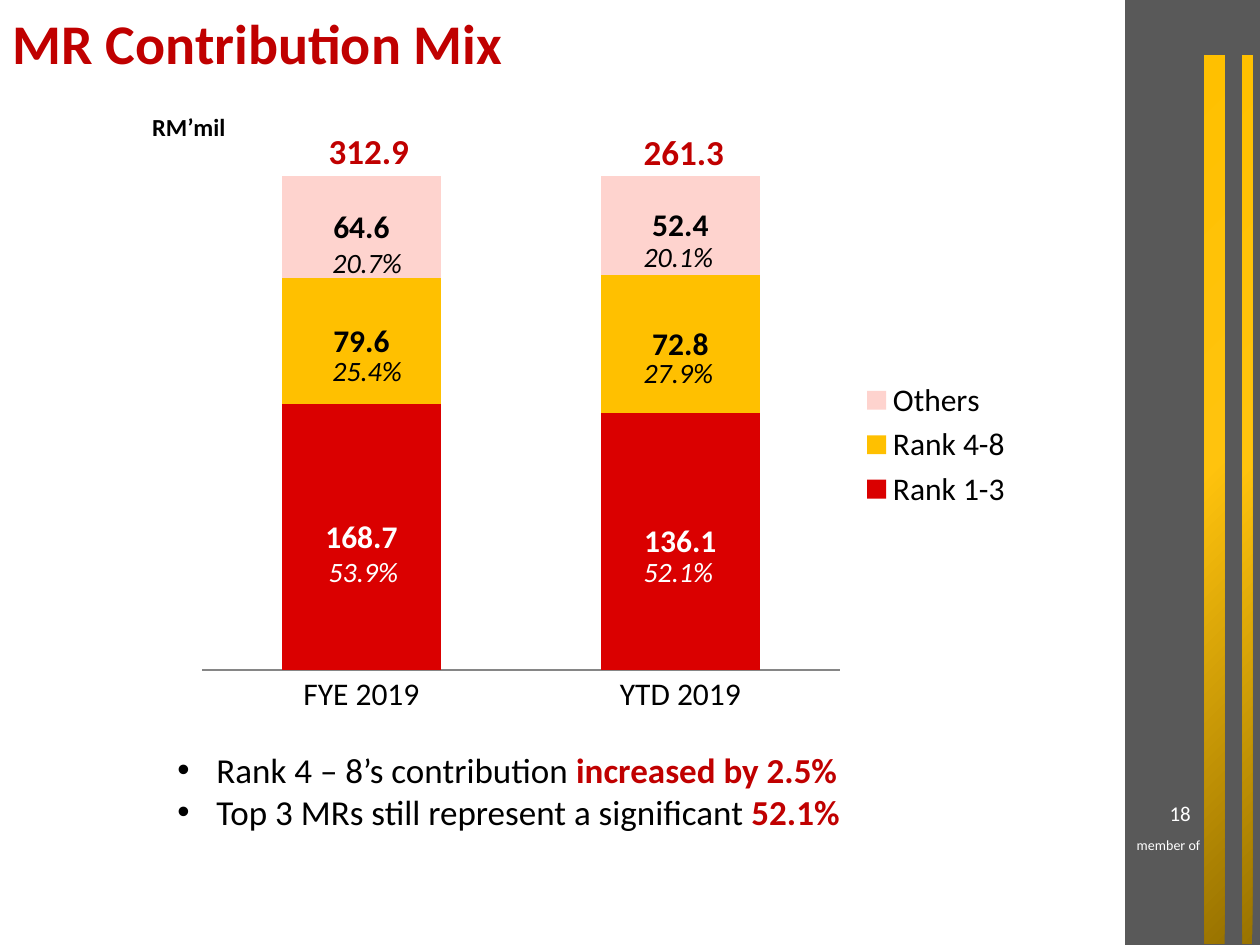
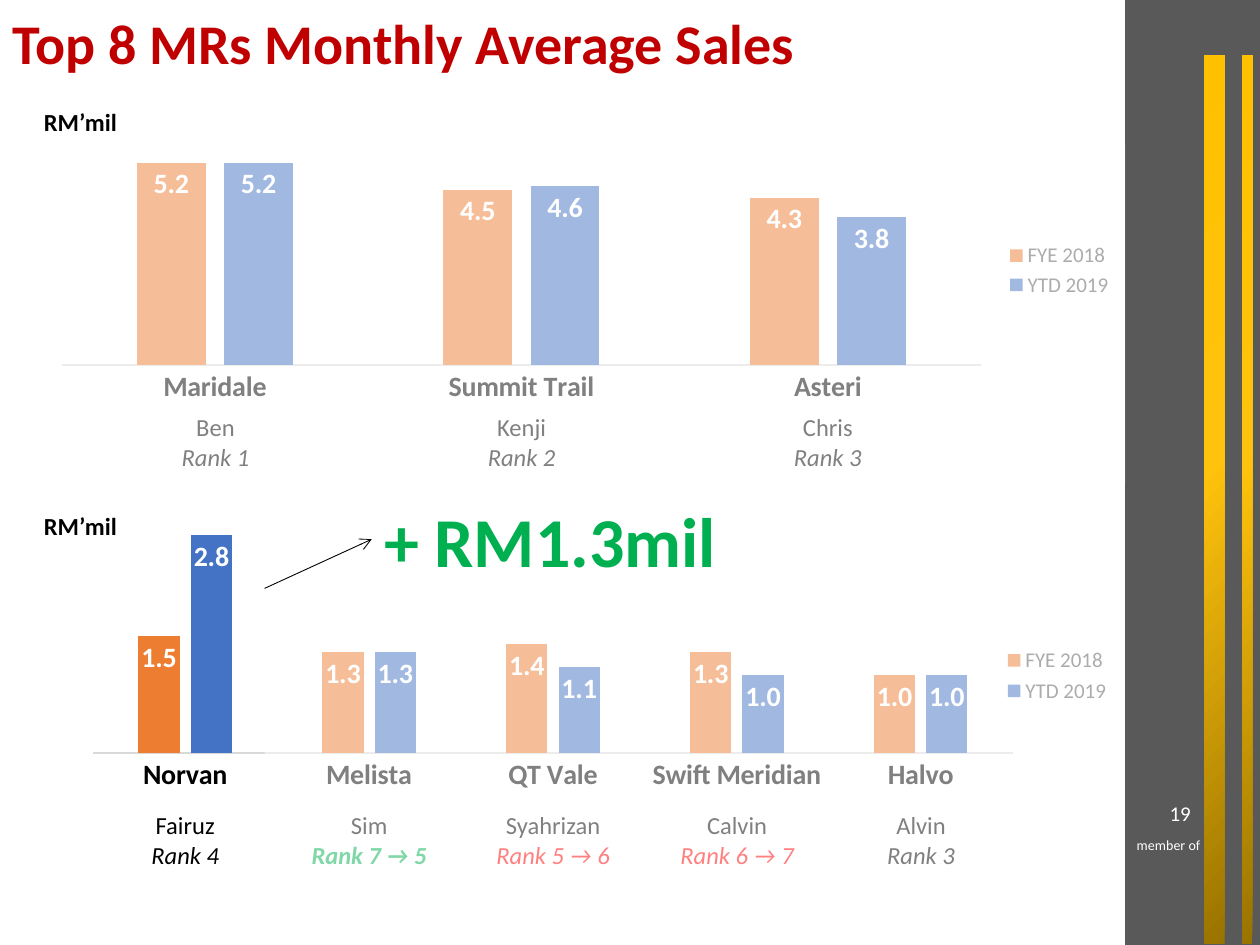
from dataclasses import dataclass

from lxml.etree import SubElement
from pptx import Presentation
from pptx.chart.data import CategoryChartData
from pptx.dml.color import RGBColor
from pptx.enum.chart import XL_CHART_TYPE, XL_LABEL_POSITION, XL_LEGEND_POSITION, XL_TICK_LABEL_POSITION, XL_TICK_MARK
from pptx.enum.shapes import MSO_CONNECTOR, MSO_SHAPE
from pptx.enum.text import MSO_ANCHOR, MSO_AUTO_SIZE, PP_ALIGN
from pptx.oxml import parse_xml
from pptx.oxml.ns import nsdecls, qn
from pptx.util import Pt

EMU_PER_PX = 9144


@dataclass(frozen=True)
class Theme:
    font: str = "Calibri"
    white: str = "FFFFFF"
    black: str = "000000"
    band: str = "595959"
    heading: str = "C00000"
    rank_top: str = "DA0000"
    rank_middle: str = "FFC000"
    rank_others: str = "FED3CE"
    last_year: str = "ED7D31"
    this_year: str = "4472C4"
    axis: str = "D9D9D9"
    axis_dark: str = "868686"
    rise: str = "00B050"
    fall: str = "FF0000"
    stripe: tuple = ((0, "FFC000"), (46, "FFC30D"), (100, "997300"))
    title_size: int = 32
    callout_size: int = 40
    body_size: int = 20
    chart_size: int = 18
    label_size: int = 16
    caption_size: int = 14
    small_size: int = 12
    footer_size: int = 8


THEME = Theme()


def px(*lengths):
    return [length * EMU_PER_PX for length in lengths]


def apply(target, formats):
    for name, value in formats.items():
        setattr(target, name, value)


def style(font, size, color, **formats):
    apply(font, {"name": THEME.font, "size": Pt(size), **formats})
    font.color.rgb = RGBColor.from_string(color)


def add_text(slide, box, text, size, color, align=PP_ALIGN.LEFT,
             anchor=MSO_ANCHOR.TOP, wrap=False, **formats):
    frame = slide.shapes.add_textbox(*px(*box)).text_frame
    apply(frame, {"word_wrap": wrap, "auto_size": MSO_AUTO_SIZE.NONE,
                  "vertical_anchor": anchor})
    paragraph = frame.paragraphs[0]
    paragraph.alignment = align
    run = paragraph.add_run()
    run.text = text
    style(run.font, size, color, **formats)


def add_bullets(slide, box, points):
    frame = slide.shapes.add_textbox(*px(*box)).text_frame
    apply(frame, {"word_wrap": True, "auto_size": MSO_AUTO_SIZE.NONE})
    for index, (statement, emphasis) in enumerate(points):
        paragraph = frame.add_paragraph() if index else frame.paragraphs[0]
        properties = paragraph._p.get_or_add_pPr()
        indent = px(31)[0]
        properties.set("marL", str(indent))
        properties.set("indent", str(-indent))
        SubElement(properties, qn("a:buFont"), typeface="Arial")
        SubElement(properties, qn("a:buChar"), char="•")
        for text, color, bold in ((statement, THEME.black, False),
                                  (emphasis, THEME.heading, True)):
            run = paragraph.add_run()
            run.text = text
            style(run.font, THEME.body_size, color, bold=bold)


def add_block(slide, box):
    block = slide.shapes.add_shape(MSO_SHAPE.RECTANGLE, *px(*box))
    block.shadow.inherit = False
    block.line.fill.background()
    return block


def add_solid(slide, box, color, opacity=100):
    block = add_block(slide, box)
    block.fill.solid()
    block.fill.fore_color.rgb = RGBColor.from_string(color)
    if opacity < 100:
        tint = block._element.spPr.find(".//" + qn("a:srgbClr"))
        SubElement(tint, qn("a:alpha"), val=str(opacity * 1000))


def add_stripe(slide, box):
    stops = "".join(
        f'<a:gs pos="{place * 1000}"><a:srgbClr val="{color}"/></a:gs>'
        for place, color in THEME.stripe)
    gradient = parse_xml(
        f'<a:gradFill {nsdecls("a")} rotWithShape="1"><a:gsLst>{stops}</a:gsLst>'
        '<a:path path="circle"><a:fillToRect r="100000" b="100000"/></a:path>'
        '</a:gradFill>')
    outline = add_block(slide, box)._element.spPr.find(qn("a:prstGeom"))
    outline.addnext(gradient)


def add_arrow(slide, start, end):
    arrow = slide.shapes.add_connector(MSO_CONNECTOR.STRAIGHT, *px(*start, *end))
    arrow.line.width = Pt(0.5)
    arrow.line.color.rgb = RGBColor.from_string(THEME.black)
    SubElement(arrow.line._get_or_add_ln(), qn("a:tailEnd"), type="arrow")
    SubElement(arrow._element.spPr, qn("a:effectLst"))


def place_part(part, index, thousandths, target=""):
    for old in part.findall(qn("c:layout")):
        part.remove(old)
    sizes = "".join(f'<c:{name} val="{value / 1000}"/>'
                    for name, value in zip("xywh", thousandths))
    part.insert(index, parse_xml(
        f'<c:layout {nsdecls("c")}><c:manualLayout>{target}'
        f'<c:xMode val="edge"/><c:yMode val="edge"/>{sizes}'
        '</c:manualLayout></c:layout>'))


def add_columns(slide, kind, box, categories, series, plot_area, gap, overlap,
                number_format, axis_color):
    data = CategoryChartData(number_format=number_format)
    data.categories = categories
    for name, values, *_ in series:
        data.add_series(name, values)
    chart = slide.shapes.add_chart(kind, *px(*box), data).chart
    apply(chart, {"has_title": False, "has_legend": True})
    apply(chart.legend, {"position": XL_LEGEND_POSITION.RIGHT,
                         "include_in_layout": False})
    style(chart.font, THEME.chart_size, THEME.black)
    plot = chart.plots[0]
    apply(plot, {"gap_width": gap, "overlap": overlap, "vary_by_categories": False})
    quiet = {"major_tick_mark": XL_TICK_MARK.NONE, "minor_tick_mark": XL_TICK_MARK.NONE,
             "has_major_gridlines": False}
    for axis in (chart.category_axis, chart.value_axis):
        apply(axis, quiet)
    chart.category_axis.format.line.color.rgb = RGBColor.from_string(axis_color)
    chart.category_axis.format.line.width = Pt(0.75)
    for drawn, (_, _, fill, label_color, label_size, position) in zip(plot.series, series):
        drawn.format.fill.solid()
        drawn.format.fill.fore_color.rgb = RGBColor.from_string(fill)
        labels = drawn.data_labels
        apply(labels, {"show_value": True, "number_format": number_format,
                       "number_format_is_linked": False, "position": position})
        style(labels.font, label_size, label_color, bold=True)
    place_part(chart._chartSpace.chart.plotArea, 0, plot_area,
               '<c:layoutTarget val="inner"/>')
    return chart


def add_mix_chart(slide, box):
    center = XL_LABEL_POSITION.CENTER
    size = THEME.chart_size
    chart = add_columns(
        slide, XL_CHART_TYPE.COLUMN_STACKED_100, box, ["FYE 2019", "YTD 2019"],
        [("Rank 1-3", (168.7, 136.1), THEME.rank_top, THEME.white, size, center),
         ("Rank 4-8", (79.6, 72.8), THEME.rank_middle, THEME.black, size, center),
         ("Others", (64.6, 52.4), THEME.rank_others, THEME.black, size, center)],
        (20, 20, 759, 883), 100, 100, "0.0", THEME.axis_dark)
    chart.value_axis.tick_label_position = XL_TICK_LABEL_POSITION.NONE
    chart.value_axis.format.line.fill.background()


def add_sales_chart(slide, box, sales, top_value, legend_area):
    agencies, last_year, this_year = zip(*sales)
    label = (THEME.white, THEME.label_size, XL_LABEL_POSITION.INSIDE_END)
    chart = add_columns(
        slide, XL_CHART_TYPE.COLUMN_CLUSTERED, box, agencies,
        [("FYE 2018", last_year, THEME.last_year, *label),
         ("YTD 2019", this_year, THEME.this_year, *label)],
        (55, 61, 818, 739), 219, -27, "#,##0.0", THEME.axis)
    apply(chart.value_axis, {"visible": False, "minimum_scale": 0,
                             "maximum_scale": top_value})
    style(chart.category_axis.tick_labels.font, THEME.label_size, THEME.black, bold=True)
    style(chart.legend.font, THEME.small_size, THEME.band)
    place_part(chart.legend._element, 1, legend_area)


def add_people(slide, chart_left, top, people):
    plot_left, plot_width, width = chart_left + 49, 730, 112
    step = plot_width / len(people)
    for index, (person, rank, color, bold) in enumerate(people):
        left = round(plot_left + step * (index + 0.5) - width / 2)
        add_text(slide, (left, top, width, 34), person, THEME.caption_size,
                 THEME.black, PP_ALIGN.CENTER)
        add_text(slide, (left, top + 24, width, 34), rank, THEME.caption_size,
                 color, PP_ALIGN.CENTER, italic=True, bold=bold)


def add_unit(slide, left, top):
    add_text(slide, (left, top, 76, 28), "RM’mil", THEME.caption_size,
             THEME.black, bold=True)


def add_page(deck, heading, number):
    slide = deck.slides.add_slide(deck.slide_layouts[5])
    add_solid(slide, (893, 0, 109, 750), THEME.band)
    for left, width in ((956, 16), (986, 8)):
        add_stripe(slide, (left, 44, width, 705))
    add_text(slide, (886, 659, 83, 23), "member of", THEME.footer_size,
             THEME.white, PP_ALIGN.CENTER, wrap=True)
    title = slide.shapes.title
    apply(title, dict(zip(("left", "top", "width", "height"), px(0, 0, 862, 74))))
    title.text_frame.text = heading
    apply(title.text_frame, {"vertical_anchor": MSO_ANCHOR.MIDDLE, "word_wrap": True,
                             "auto_size": MSO_AUTO_SIZE.NONE})
    paragraph = title.text_frame.paragraphs[0]
    apply(paragraph, {"alignment": PP_ALIGN.LEFT, "line_spacing": 0.9})
    style(paragraph.runs[0].font, THEME.title_size, THEME.heading, bold=True)
    add_text(slide, (730, 625, 225, 40), str(number), THEME.small_size, THEME.white,
             PP_ALIGN.RIGHT, MSO_ANCHOR.MIDDLE, wrap=True)
    return slide


def build_mix(deck):
    slide = add_page(deck, "MR Contribution Mix", 18)
    add_unit(slide, 111, 84)
    add_mix_chart(slide, (147, 131, 667, 444))
    for left, top, total in ((251, 98, "312.9"), (501, 99, "261.3")):
        add_text(slide, (left, top, 76, 42), total, THEME.body_size,
                 THEME.heading, bold=True)
    shares = (
        (251, 435, "53.9%", THEME.white), (254, 276, "25.4%", THEME.black),
        (254, 190, "20.7%", THEME.black), (501, 435, "52.1%", THEME.white),
        (501, 277, "27.9%", THEME.black), (501, 185, "20.1%", THEME.black))
    for left, top, share, color in shares:
        add_text(slide, (left, top, 76, 42), share, THEME.label_size, color, italic=True)
    add_bullets(slide, (131, 589, 571, 77), (
        ("Rank 4 – 8’s contribution ", "increased by 2.5%"),
        ("Top 3 MRs still represent a significant ", "52.1%")))


def build_sales(deck):
    slide = add_page(deck, "Top 8 MRs Monthly Average Sales", 19)
    add_sales_chart(slide, (0, 89, 892, 251), (
        ("Maridale", 5.2, 5.2), ("Summit Trail", 4.5, 4.6), ("Asteri", 4.3, 3.8)),
        6, (890, 400, 105, 200))
    add_sales_chart(slide, (25, 397, 892, 251), (
        ("Norvan", 1.5, 2.8), ("Melista", 1.3, 1.3), ("QT Vale", 1.4, 1.1),
        ("Swift Meridian", 1.3, 1), ("Halvo", 1, 1)), 3, (860, 450, 105, 210))
    for top in (80, 401):
        add_unit(slide, 25, top)
    add_people(slide, 0, 322, (
        ("Ben", "Rank 1", THEME.black, False),
        ("Kenji", "Rank 2", THEME.black, False),
        ("Chris", "Rank 3", THEME.black, False)))
    add_people(slide, 25, 638, (
        ("Fairuz", "Rank 4", THEME.black, False),
        ("Sim", "Rank 7 → 5", THEME.rise, True),
        ("Syahrizan", "Rank 5 → 6", THEME.fall, False),
        ("Calvin", "Rank 6 → 7", THEME.fall, False),
        ("Alvin", "Rank 3", THEME.black, False)))
    for veil in ((3, 115, 890, 268), (210, 428, 680, 268)):
        add_solid(slide, veil, THEME.white, opacity=50)
    add_text(slide, (295, 390, 286, 77), "+ RM1.3mil", THEME.callout_size,
             THEME.rise, bold=True)
    add_arrow(slide, (210, 467), (295, 428))


def main():
    deck = Presentation()
    deck.slide_width, deck.slide_height = px(1000, 750)
    build_mix(deck)
    build_sales(deck)
    deck.save("out.pptx")


if __name__ == "__main__":
    main()
